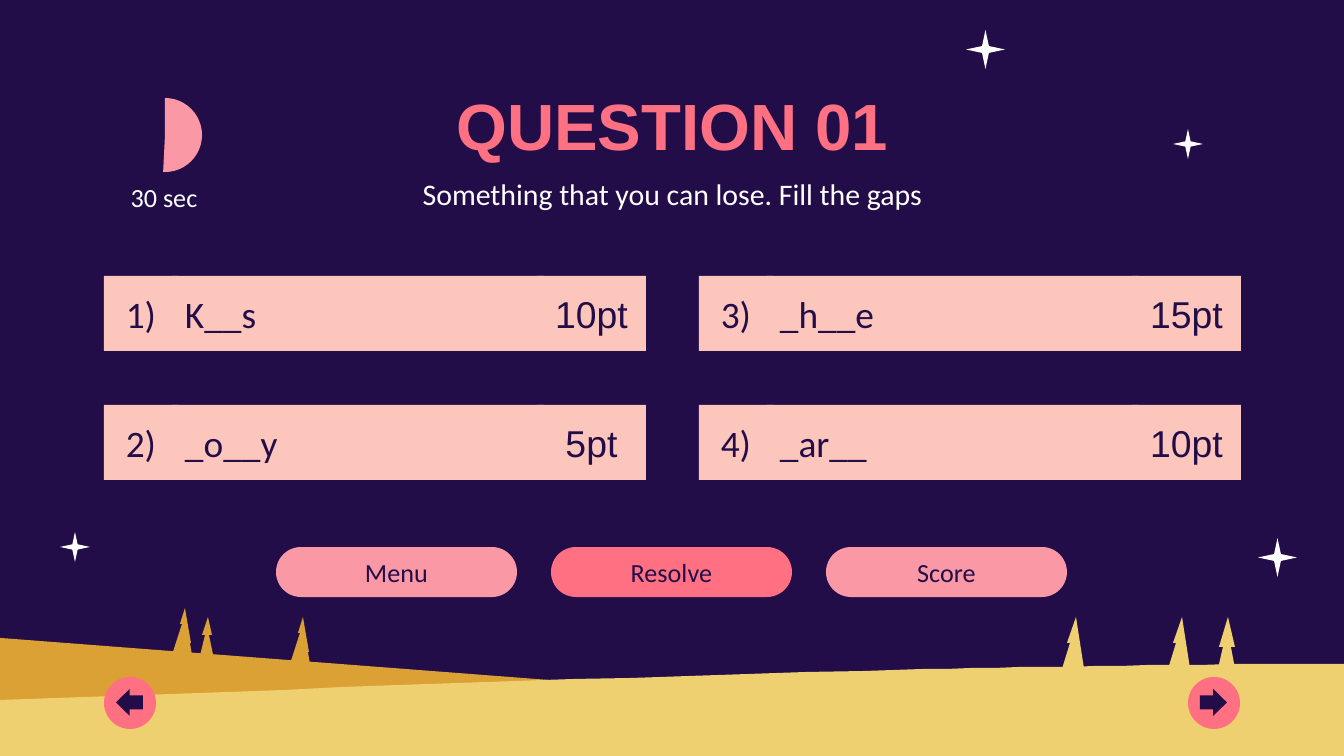
from pptx import Presentation
from pptx.dml.color import RGBColor
from pptx.enum.shapes import MSO_SHAPE
from pptx.enum.text import MSO_ANCHOR, PP_ALIGN
from pptx.util import Pt

PX = 914400 / 134.4
WIDTH, HEIGHT = 1344, 756
COLORS = {"night": "220D49", "coral": "FF7083", "rose": "FA98A5", "peach": "FDC6BC",
          "gold": "DBA134", "sand": "EED071", "white": "FFFFFF"}

TITLE = "QUESTION 01"
SUBTITLE = "Something that you can lose. Fill the gaps"
TIME_LIMIT = "30 sec"
ANSWER_COLUMNS = [
    [("1)", "K__s", "10pt"), ("2)", "_o__y", "5pt")],
    [("3)", "_h__e", "15pt"), ("4)", "_ar__", "10pt")],
]
BUTTONS = [("Menu", "rose"), ("Resolve", "coral"), ("Score", "rose")]

BACK_HILL = [(0, 638), (WIDTH, 741), (WIDTH, HEIGHT), (0, HEIGHT)]
HILL_CURVES = [
    [(1344, 664), (1187, 664), (1048, 667), (923, 669)],
    [(923, 669), (612, 677), (302, 689), (0, 700)],
]
WIDE_TREE = [(22, 0), (31, 58), (30, 58), (34, 78), (0, 78), (16, 26), (13, 26)]
SLIM_TREE = [(16, 0), (23, 30), (19, 30), (28, 78), (0, 78), (11, 30), (7, 30)]
TREES = [  # outline, left, top, size factor, colour
    (WIDE_TREE, 1160, 617, 1, "sand"), (WIDE_TREE, 1054, 617, 1, "sand"),
    (SLIM_TREE, 1212, 617, 1, "sand"), (WIDE_TREE, 172, 608, 0.6, "gold"),
    (WIDE_TREE, 290, 617, 0.6, "gold"), (SLIM_TREE, 198, 617, 0.6, "gold"),
]
STARS = [(1258, 538, 39), (966, 30, 39), (1173, 129, 30), (60, 532, 30)]  # left, top, size
ARROWS = [(1188, MSO_SHAPE.RIGHT_ARROW), (104, MSO_SHAPE.LEFT_ARROW)]


def px(*values):
    return [round(value * PX) for value in values]


def paint(shape, color):
    shape.shadow.inherit = False
    shape.fill.solid()
    shape.fill.fore_color.rgb = RGBColor.from_string(COLORS[color])
    shape.line.fill.background()


def add_shape(kind, area, color, adjustments=()):
    shape = page.shapes.add_shape(kind, *px(*area))
    paint(shape, color)
    for index, value in enumerate(adjustments):
        shape.adjustments[index] = value
    return shape


def add_outline(points, color):
    builder = page.shapes.build_freeform(*points[0], scale=PX)
    builder.add_line_segments(points[1:], close=True)
    paint(builder.convert_to_shape(), color)


def curve_points(controls, steps=16):
    """Return points along a cubic Bezier curve."""
    points = []
    for step in range(steps + 1):
        t = step / steps
        weights = ((1 - t) ** 3, 3 * t * (1 - t) ** 2, 3 * t ** 2 * (1 - t), t ** 3)
        points.append(tuple(sum(w * point[axis] for w, point in zip(weights, controls))
                            for axis in (0, 1)))
    return points


def write(shape, text, size, color="night", name="Calibri", bold=False, align=PP_ALIGN.CENTER):
    frame = shape.text_frame
    inset = px(13)[0]
    frame_format = {"word_wrap": True, "vertical_anchor": MSO_ANCHOR.MIDDLE,
                    "margin_left": inset, "margin_right": inset,
                    "margin_top": inset, "margin_bottom": inset}
    for key, value in frame_format.items():
        setattr(frame, key, value)
    para = frame.paragraphs[0]
    para.alignment = align
    span = para.add_run()
    span.text = text
    for key, value in {"size": Pt(size), "name": name, "bold": bold}.items():
        setattr(span.font, key, value)
    span.font.color.rgb = RGBColor.from_string(COLORS[color])


def add_text(area, text, size, **style):
    write(page.shapes.add_textbox(*px(*area)), text, size, **style)


def add_answer(left, top, number, word, points):
    parts = [  # text, offset, width, style
        (word, 68, 372, {"align": PP_ALIGN.LEFT}),
        (number, 0, 74, {}),
        (points, 433, 109, {"name": "Arial"}),
    ]
    for text, offset, width, style in parts:
        cell = add_shape(MSO_SHAPE.RECTANGLE, (left + offset, top, width, 75), "peach")
        write(cell, text, 20, **style)


deck = Presentation()
deck.slide_width, deck.slide_height = px(WIDTH, HEIGHT)
page = deck.slides.add_slide(deck.slide_layouts[6])
page.background.fill.solid()
page.background.fill.fore_color.rgb = RGBColor.from_string(COLORS["night"])

add_outline(BACK_HILL, "gold")
ridge = curve_points(HILL_CURVES[0]) + curve_points(HILL_CURVES[1])[1:]
add_outline(ridge + [(0, HEIGHT), (WIDTH, HEIGHT)], "sand")
for outline, left, top, factor, color in TREES:
    add_outline([(left + x * factor, top + y * factor) for x, y in outline], color)
for left, top, size in STARS:
    add_shape(MSO_SHAPE.STAR_4_POINT, (left, top, size, size), "white", [0.125])

add_text((319, 79, 707, 90), TITLE, 35, color="coral", name="Arial", bold=True)
add_text((319, 169, 707, 50), SUBTITLE, 16, color="white")

for column, answers in enumerate(ANSWER_COLUMNS):
    for row, answer in enumerate(answers):
        add_answer(104 + column * 595, 276 + row * 129, *answer)

button_width, button_gap = 241, 34
step = button_width + button_gap
first_left = (WIDTH - len(BUTTONS) * step + button_gap) // 2
for index, (label, color) in enumerate(BUTTONS):
    area = (first_left + index * step, 547, button_width, 50)
    write(add_shape(MSO_SHAPE.ROUNDED_RECTANGLE, area, color, [0.5]), label, 14)

for left, arrow in ARROWS:
    add_shape(MSO_SHAPE.OVAL, (left, 677, 52, 52), "coral")
    add_shape(arrow, (left + 12, 689, 27, 27), "night", [0.51, 0.51])

add_shape(MSO_SHAPE.PIE, (128, 98, 74, 74), "rose", [162, 55.73])
add_text((99, 172, 130, 50), TIME_LIMIT, 14, color="white")

deck.save("out.pptx")
